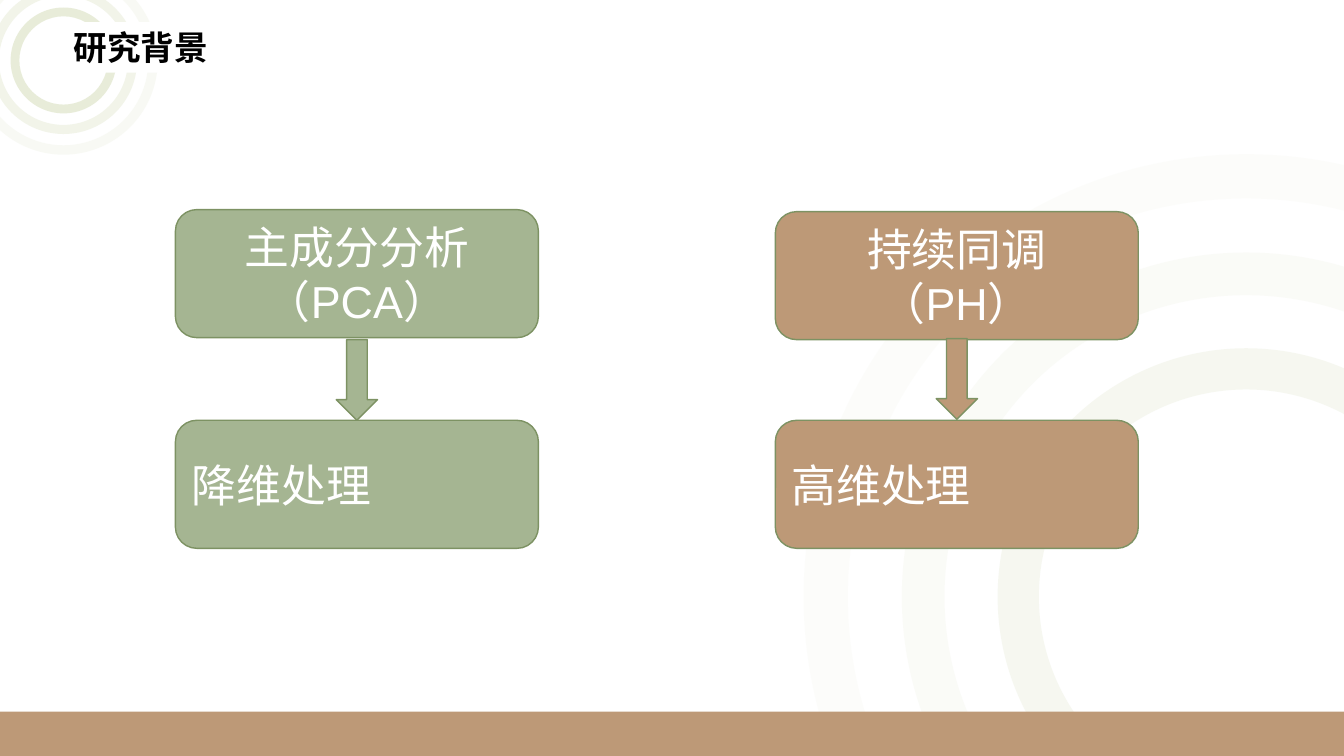
from lxml import etree
from pptx import Presentation
from pptx.dml.color import RGBColor
from pptx.enum.shapes import MSO_SHAPE as Shape
from pptx.enum.text import MSO_ANCHOR as Anchor, MSO_AUTO_SIZE as AutoSize, PP_ALIGN as Align
from pptx.oxml.ns import qn
from pptx.util import Inches, Pt

WHITE = RGBColor(0xFF, 0xFF, 0xFF)
BLACK = RGBColor(0x00, 0x00, 0x00)
RING = RGBColor(0xDF, 0xE5, 0xCA)
GREEN = RGBColor(0xA5, 0xB5, 0x92)
BROWN = RGBColor(0xBD, 0x99, 0x77)
OUTLINE = RGBColor(0x7D, 0x92, 0x63)

SLIDE_W, SLIDE_H = 13.33, 7.5
BOX_W, BOX_H = 3.6, 1.27
ARROW_W, ARROW_H = 0.41, 0.8
RING_WIDTHS = (0.05, 0.062, 0.083)  # share of each ring's diameter


def add_filled(slide, kind, left, top, width, height, fill, line=None):
    shape = slide.shapes.add_shape(
        kind, Inches(left), Inches(top), Inches(width), Inches(height))
    shape.shadow.inherit = False
    shape.fill.solid()
    shape.fill.fore_color.rgb = fill
    if line is None:
        shape.line.fill.background()
    else:
        shape.line.color.rgb = line
        shape.line.width = Pt(1)
    return shape


def write(shape, text, size, color, align, bold=False):
    frame = shape.text_frame
    frame.text = text
    frame.word_wrap = True
    frame.vertical_anchor = Anchor.MIDDLE
    paragraph = frame.paragraphs[0]
    paragraph.alignment = align
    for run in paragraph.runs:
        run.font.name = "Arial"
        run.font.size = Pt(size)
        run.font.bold = bold
        run.font.color.rgb = color


def add_rings(slide, center_x, center_y, diameters, opacities):
    """Concentric translucent rings, from the outermost inwards."""
    for diameter, opacity, ring_width in zip(diameters, opacities, RING_WIDTHS):
        ring = add_filled(slide, Shape.DONUT, center_x - diameter / 2,
                          center_y - diameter / 2, diameter, diameter, RING)
        ring.adjustments[0] = ring_width
        color = ring.fill._xPr.find(qn("a:solidFill"))[0]
        etree.SubElement(color, qn("a:alpha")).set("val", str(opacity * 1000))


def add_title(slide, text, left, top, width, height):
    title = slide.shapes.title
    title.left, title.top = Inches(left), Inches(top)
    title.width, title.height = Inches(width), Inches(height)
    title.fill.solid()
    title.fill.fore_color.rgb = WHITE
    write(title, text, 24, BLACK, Align.LEFT, bold=True)
    title.text_frame.auto_size = AutoSize.NONE
    # Bring the title in front of the rings
    title.element.getparent().append(title.element)


def add_method(slide, left, method_top, arrow_top, result_top, method, result, fill):
    """A method box, with an arrow down to the box of its result."""
    for top, text, align in ((result_top, result, Align.JUSTIFY),
                             (method_top, method, Align.CENTER)):
        box = add_filled(slide, Shape.ROUNDED_RECTANGLE, left, top,
                         BOX_W, BOX_H, fill, OUTLINE)
        write(box, text, 32, WHITE, align)
    add_filled(slide, Shape.DOWN_ARROW, left + (BOX_W - ARROW_W) / 2, arrow_top,
               ARROW_W, ARROW_H, fill, OUTLINE)


def main():
    prs = Presentation()
    prs.slide_width, prs.slide_height = Inches(SLIDE_W), Inches(SLIDE_H)
    slide = prs.slides.add_slide(prs.slide_layouts[5])

    # Header
    add_rings(slide, 0.63, 0.6, (1.87, 1.46, 1.05), (20, 40, 70))
    add_title(slide, "研究背景", 0.63, 0.22, 2.5, 0.5)

    # Background rings and footer band
    add_rings(slide, 12.36, 5.92, (8.78, 6.83, 4.93), (8, 14, 27))
    add_filled(slide, Shape.RECTANGLE, 0, 7.06, SLIDE_W, 0.44, BROWN)

    # The two methods compared
    add_method(slide, 1.74, 2.08, 3.37, 4.17, "主成分分析（PCA）", "降维处理", GREEN)
    add_method(slide, 7.69, 2.1, 3.36, 4.17, "持续同调\v（PH）", "高维处理", BROWN)

    prs.save("out.pptx")


if __name__ == "__main__":
    main()
